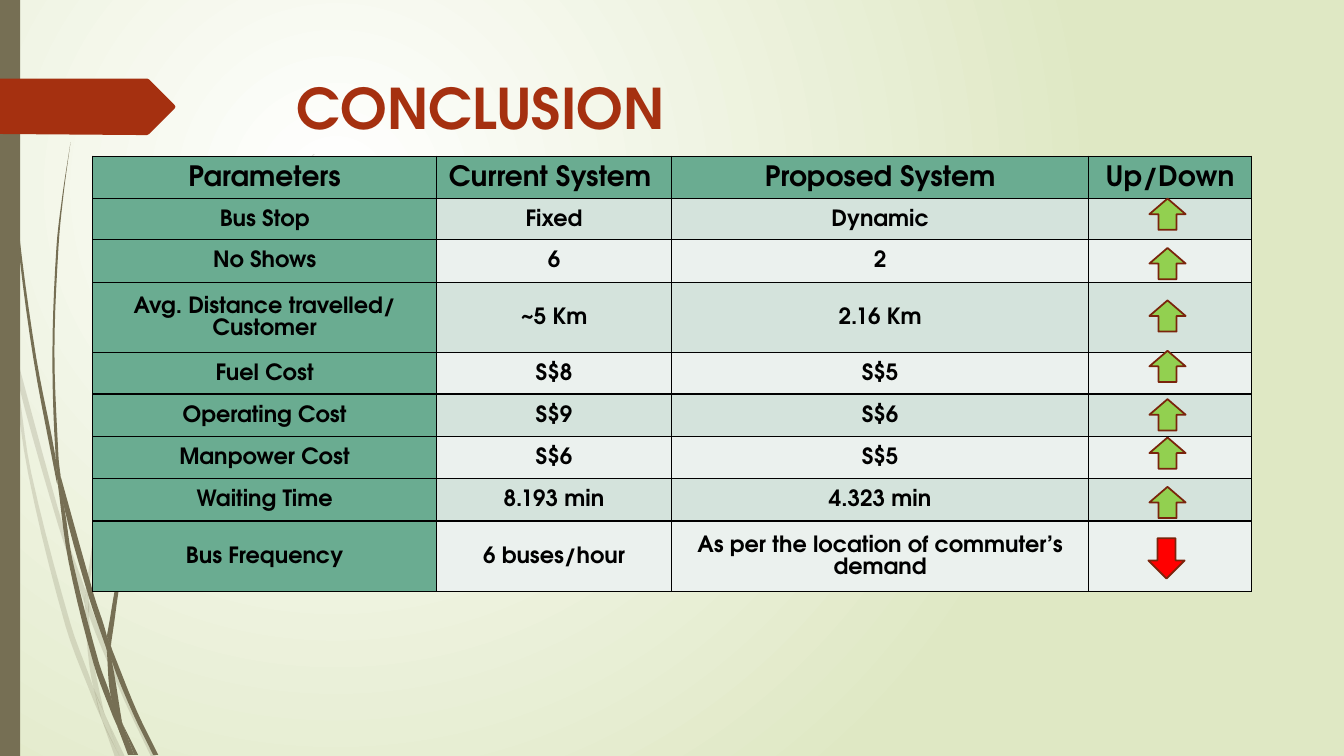
from lxml import etree
from pptx import Presentation
from pptx.dml.color import RGBColor as RGB
from pptx.enum.shapes import MSO_SHAPE as SHAPE
from pptx.enum.text import MSO_ANCHOR as ANCHOR, PP_ALIGN as ALIGN
from pptx.oxml import parse_xml
from pptx.oxml.ns import nsdecls, qn
from pptx.util import Pt

PX = 9144
FONT = "TeX Gyre Adventor"
TAUPE = RGB(0x76, 0x6F, 0x54)
RUST = RGB(0xA5, 0x30, 0x10)
BROWN = RGB(0x7A, 0x24, 0x0C)
LIME = RGB(0x92, 0xD0, 0x50)
RED = RGB(0xFF, 0x00, 0x00)
BLACK = RGB(0x00, 0x00, 0x00)
GREEN = RGB(0x6A, 0xAC, 0x91)
MINT = RGB(0xD4, 0xE3, 0xDC)
PALE = RGB(0xEB, 0xF1, 0xEE)

prs = Presentation()
prs.slide_width, prs.slide_height = 1333 * PX, 750 * PX
slide = prs.slides.add_slide(prs.slide_layouts[5])
shapes = slide.shapes

slide.background.fill.solid()
back = slide.element.find(".//" + qn("p:bgPr"))
back.replace(back[0], parse_xml(
    f'<a:gradFill {nsdecls("a")} rotWithShape="1"><a:gsLst>'
    '<a:gs pos="0"><a:srgbClr val="FFFFFF"/></a:gs>'
    '<a:gs pos="100000"><a:srgbClr val="DFE8C4"/></a:gs></a:gsLst>'
    '<a:path path="circle"><a:fillToRect l="50000" t="50000" r="100000" b="100000"/></a:path>'
    '</a:gradFill>'))


def smooth(knots):
    last = len(knots) - 1
    slopes = []
    for i in range(last + 1):
        (xa, ya), (xb, yb) = knots[max(i - 1, 0)], knots[min(i + 1, last)]
        slopes.append((xb - xa) / (yb - ya))
    dots = []
    for i in range(last):
        (xa, ya), (xb, yb) = knots[i:i + 2]
        gap = yb - ya
        for t in (0, 0.2, 0.4, 0.6, 0.8):
            x = ((1 + 2 * t) * (1 - t) ** 2 * xa + t * t * (3 - 2 * t) * xb
                 + gap * t * (1 - t) * ((1 - t) * slopes[i] - t * slopes[i + 1]))
            dots.append((x, ya + gap * t))
    return dots + [knots[-1]]


def outline(dots, color):
    dots = [(x * PX, y * PX) for x, y in dots]
    pen = shapes.build_freeform(*dots[0])
    pen.add_line_segments(dots[1:])
    shape = pen.convert_to_shape()
    shape.shadow.inherit = False
    shape.fill.solid()
    shape.fill.fore_color.rgb = color
    shape.line.fill.background()
    return shape


faint = [
    ([(0, 299), (10, 344), (11, 350)], [(0, 282), (9, 322), (11, 350)]),
    ([(14, 345), (17, 376), (58, 522), (84, 599)], [(14, 345), (62, 520), (85, 586)]),
    ([(88, 596), (88, 610), (123, 694), (150, 751)],
     [(88, 596), (92, 607), (127, 692), (155, 751)]),
    ([(105, 711), (119, 751)], [(105, 711), (124, 751)]),
    ([(11, 350), (28, 470), (65, 621), (92, 693), (101, 714)],
     [(11, 350), (17, 376), (31, 469), (70, 619), (93, 683), (101, 714)]),
    ([(84, 599), (87, 646), (93, 683), (105, 711)],
     [(84, 599), (88, 610), (91, 646), (103, 706), (105, 711)]),
    ([(311, 153), (268, 197), (228, 244), (158, 348), (107, 461), (85, 584), (85, 586)],
     [(312, 153), (268, 198), (229, 245), (160, 349), (110, 462), (88, 584), (88, 596)]),
    ([(101, 714), (114, 751)], [(101, 714), (119, 751)]),
    ([(85, 586), (84, 599), (88, 608)], [(85, 586), (88, 596), (88, 610)]),
    ([(93, 683), (101, 714), (119, 751)], [(93, 683), (105, 711), (119, 751)]),
]
dark = [
    ([(3, 0), (4, 48), (7, 110), (17, 233), (33, 355), (56, 477), (57, 481)],
     [(4, 0), (5, 48), (8, 109), (19, 232), (36, 355), (55, 453), (57, 481)]),
    ([(60, 472), (64, 505), (88, 592), (106, 645)],
     [(60, 472), (93, 590), (106, 631), (106, 645)]),
    ([(110, 641), (111, 656), (132, 708), (152, 749)],
     [(110, 641), (113, 649), (136, 706), (157, 749)]),
    ([(57, 477), (68, 557), (93, 659), (111, 708), (117, 722)],
     [(57, 477), (64, 505), (72, 556), (98, 657), (110, 691), (117, 722)]),
    ([(70, 141), (62, 193), (56, 245), (52, 349), (55, 449), (60, 472)],
     [(70, 141), (63, 193), (58, 245), (54, 349), (58, 453), (60, 472)]),
    ([(122, 719), (133, 749)], [(122, 719), (137, 749)]),
    ([(55, 449), (57, 477), (64, 505)], [(55, 449), (60, 472), (64, 505)]),
    ([(260, 344), (231, 373), (204, 405), (156, 474), (122, 551), (106, 631)],
     [(261, 344), (231, 374), (205, 406), (158, 476), (125, 552), (111, 633), (110, 641)]),
    ([(117, 722), (127, 749)], [(117, 722), (131, 749)]),
    ([(106, 645), (110, 691), (122, 719)], [(106, 645), (111, 656), (121, 716), (122, 719)]),
    ([(106, 631), (106, 645), (111, 656)], [(106, 631), (110, 641), (111, 656)]),
    ([(110, 691), (117, 722), (130, 749)], [(110, 691), (122, 719), (133, 749)]),
]
for group, alpha in ((faint, 20), (dark, 100)):
    for left, right in group:
        blade = outline(smooth(left) + smooth(right)[::-1], TAUPE)
        if alpha < 100:
            tint = blade.element.spPr.find(".//" + qn("a:srgbClr"))
            etree.SubElement(tint, qn("a:alpha")).set("val", str(alpha * 1000))

strip = shapes.add_shape(SHAPE.RECTANGLE, 0, 0, 20 * PX, 750 * PX)
strip.shadow.inherit = False
strip.fill.solid()
strip.fill.fore_color.rgb = TAUPE
strip.line.fill.background()

outline([(0, 78), (146, 78), (148, 79), (173, 104), (174, 106), (173, 108),
         (148, 133), (146, 134), (136, 134), (0, 133)], RUST)

title = shapes.title
title.left, title.top, title.width, title.height = 284 * PX, 68 * PX, 975 * PX, 80 * PX
frame = title.text_frame
frame.vertical_anchor = ANCHOR.TOP
par = frame.paragraphs[0]
par.alignment = ALIGN.LEFT
run = par.add_run()
run.text = "CONCLUSION"
run.font.name, run.font.size, run.font.bold = FONT, Pt(40), True
run.font.color.rgb = RUST

rows = [
    ("Parameters", "Current System ", "Proposed System", "Up/Down"),
    ("Bus Stop", "Fixed", "Dynamic", ""),
    ("No Shows", "6", "2", ""),
    ("Avg. Distance travelled/ Customer", "~5 Km", "2.16 Km", ""),
    ("Fuel Cost", "S$8", "S$5", ""),
    ("Operating Cost", "S$9", "S$6", ""),
    ("Manpower Cost", "S$6", "S$5", ""),
    ("Waiting Time", "8.193 min", "4.323 min", ""),
    ("Bus Frequency", "6 buses/hour", "As per the location of commuter’s demand", ""),
]
highs = (42, 41, 42, 70, 41, 42, 42, 42, 70)
wides = (341, 233, 414, 161)
table = shapes.add_table(9, 4, 92 * PX, 155 * PX, sum(wides) * PX, sum(highs) * PX).table
for col, wide in zip(table.columns, wides):
    col.width = wide * PX
for r, words in enumerate(rows):
    table.rows[r].height = highs[r] * PX
    for c, word in enumerate(words):
        cell = table.cell(r, c)
        cell.margin_left = cell.margin_right = 7 * PX
        cell.margin_top = cell.margin_bottom = 0
        cell.vertical_anchor = ANCHOR.MIDDLE
        props = cell._tc.get_or_add_tcPr()
        for side in ("lnL", "lnR", "lnT", "lnB"):
            props.append(parse_xml(
                f'<a:{side} {nsdecls("a")} w="12700"><a:solidFill>'
                f'<a:srgbClr val="{BLACK}"/></a:solidFill></a:{side}>'))
        cell.fill.solid()
        cell.fill.fore_color.rgb = GREEN if r == 0 or c == 0 else MINT if r % 2 else PALE
        if word:
            par = cell.text_frame.paragraphs[0]
            par.alignment = ALIGN.CENTER
            par.line_spacing = 1.07
            run = par.add_run()
            run.text = word
            run.font.name, run.font.bold = FONT, True
            run.font.size = Pt(16 if r else 20)
            run.font.color.rgb = BLACK

arrows = [(SHAPE.UP_ARROW, 1140, y, 31, LIME) for y in (197, 246, 298, 348, 396, 434, 483)]
arrows.append((SHAPE.DOWN_ARROW, 1139, 534, 40, RED))
for kind, x, y, high, color in arrows:
    arrow = shapes.add_shape(kind, x * PX, y * PX, 36 * PX, high * PX)
    arrow.shadow.inherit = False
    arrow.fill.solid()
    arrow.fill.fore_color.rgb = color
    arrow.line.color.rgb = BROWN
    arrow.line.width = Pt(1.25)

prs.save("out.pptx")
